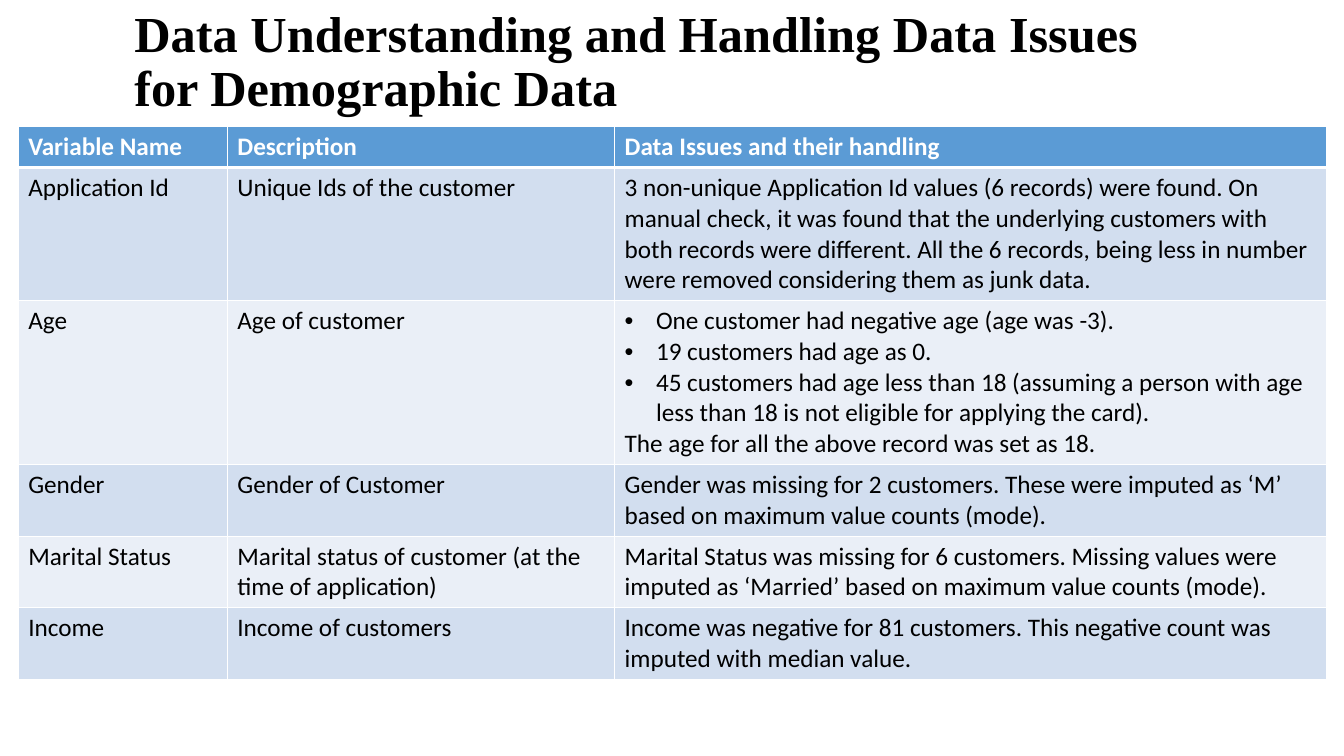
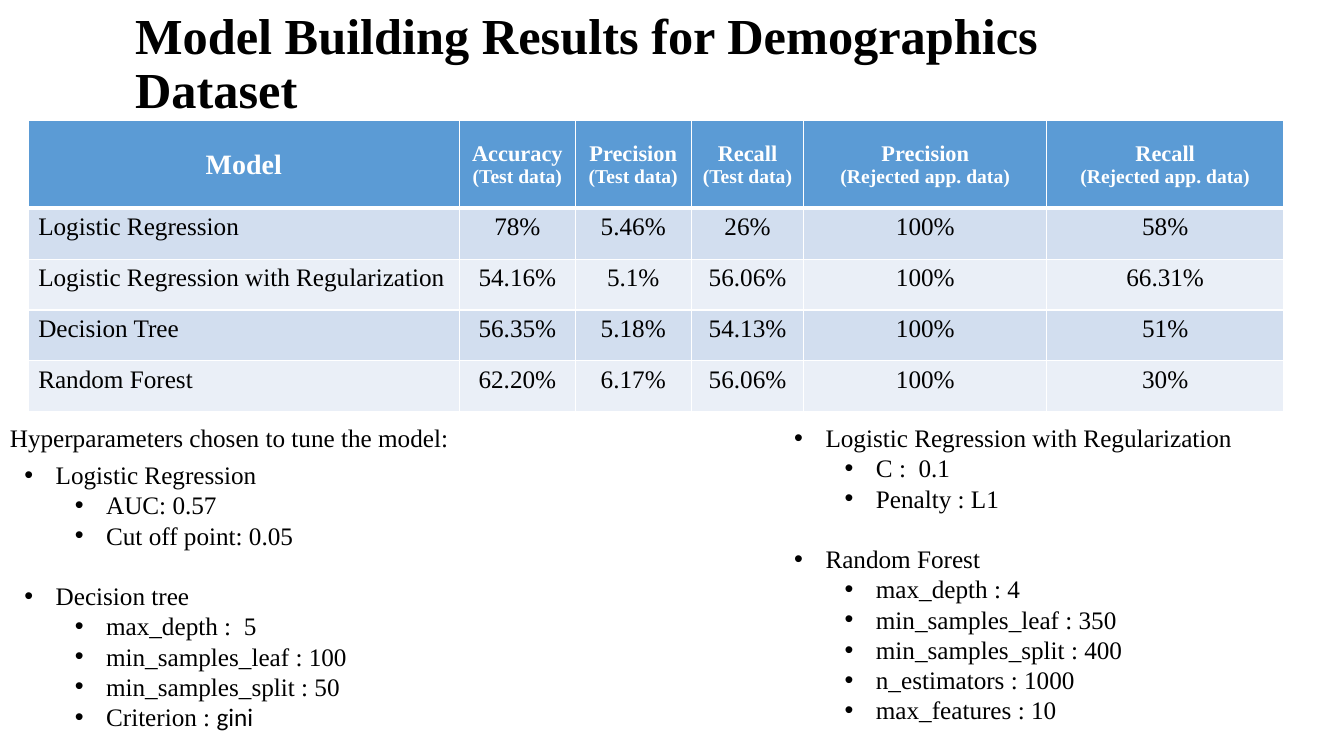
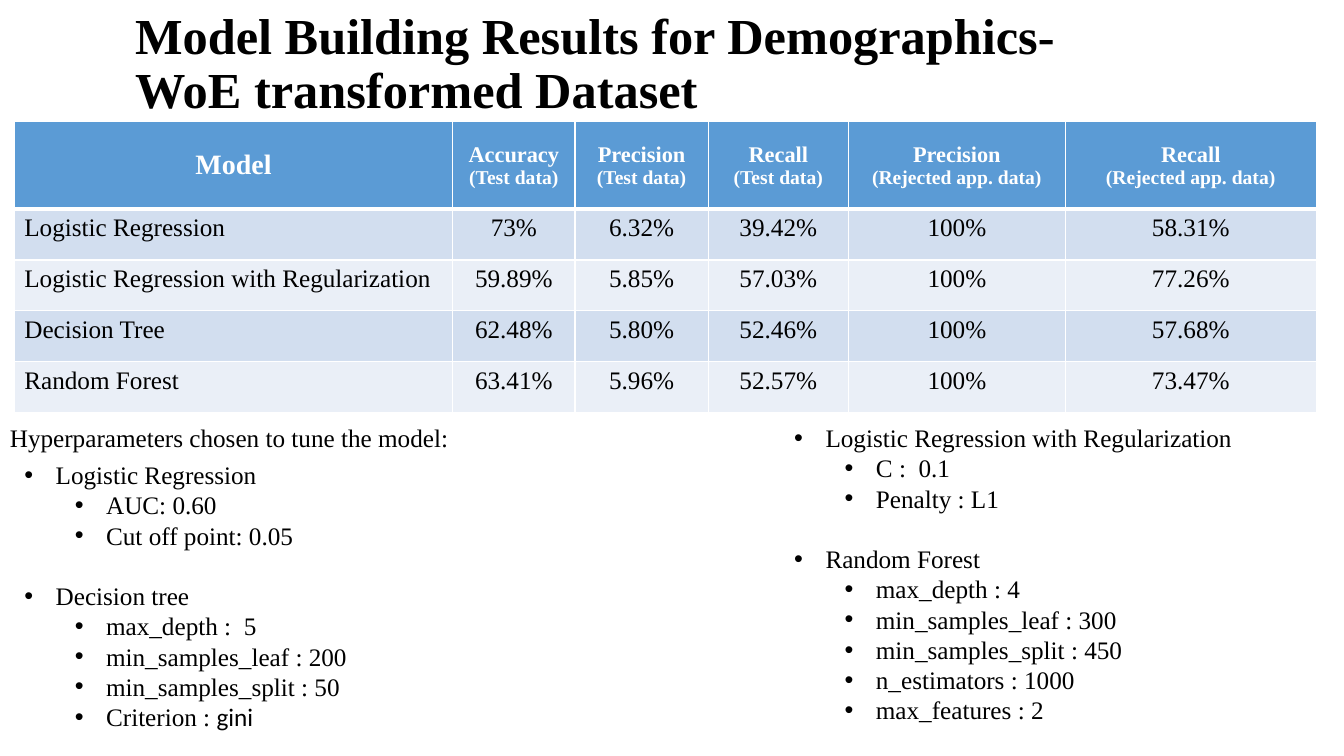
"""Build three slides on demographic data issues and model results."""
from lxml.etree import SubElement as Sub
from pptx import Presentation
from pptx.dml.color import RGBColor as Rgb
from pptx.enum.text import MSO_ANCHOR as Anchor, MSO_AUTO_SIZE as Fit, PP_ALIGN as Align
from pptx.oxml.ns import qn
from pptx.util import Cm, Pt

BLACK, WHITE = Rgb(0, 0, 0), Rgb(255, 255, 255)
BLUE = Rgb(0x5B, 0x9B, 0xD5)
BANDS = Rgb(0xD2, 0xDE, 0xEF), Rgb(0xEA, 0xEF, 0xF7)
SERIF, SANS = "Times New Roman", "Calibri"
LINE = 21.6

ISSUES = {
    "title": "Data Understanding and Handling Data Issues for Demographic Data",
    "at": (0.46, 3.19), "cols": (5.27, 9.76, 17.93),
    "heights": (0.66, 2.62, 3.58, 1.63, 1.27, 1.27),
    "rows": [
        ("Variable Name", "Description", "Data Issues and their handling"),
        ("Application Id", "Unique Ids of the customer",
         "3 non-unique Application Id values (6 records) were found. On manual check, "
         "it was found that the underlying customers with both records were different. "
         "All the 6 records, being less in number were removed considering them as junk data."),
        ("Age", "Age of customer",
         "• One customer had negative age (age was -3).\n"
         "• 19 customers had age as 0.\n"
         "• 45 customers had age less than 18 (assuming a person with age less than 18 "
         "is not eligible for applying the card).\n"
         "The age for all the above record was set as 18."),
        ("Gender", "Gender of Customer",
         "Gender was missing for 2 customers. These were imputed as ‘M’ "
         "based on maximum value counts (mode)."),
        ("Marital Status", "Marital status of customer (at the time of application)",
         "Marital Status was missing for 6 customers. Missing values were imputed as "
         "‘Married’ based on maximum value counts (mode)."),
        ("Income", "Income of customers",
         "Income was negative for 81 customers. This negative count was imputed "
         "with median value."),
    ],
}
HEAD = ("Model", "Accuracy\n(Test data)", "Precision\n(Test data)", "Recall\n(Test data)",
        "Precision\n(Rejected app. data)", "Recall\n(Rejected app. data)")
NAMES = ("Logistic Regression", "Logistic Regression with Regularization",
         "Decision Tree", "Random Forest")
HEIGHTS = (2.21, 1.28, 1.28, 1.28, 1.28)
CAPTION = "Hyperparameters chosen to tune the model:"
RESULTS = [
    {"title": "Model Building Results for Demographics Dataset",
     "at": (0.71, 3.04), "cols": (10.87, 2.92, 2.92, 2.84, 6.12, 5.97),
     "scores": [("78%", "5.46%", "26%", "100%", "58%"),
                ("54.16%", "5.1%", "56.06%", "100%", "66.31%"),
                ("56.35%", "5.18%", "54.13%", "100%", "51%"),
                ("62.20%", "6.17%", "56.06%", "100%", "30%")],
     "auc": "0.57", "tree": 100, "forest": (350, 400, 10)},
    {"title": "Model Building Results for Demographics-WoE transformed Dataset",
     "at": (0.36, 3.06), "cols": (11.05, 3.08, 3.36, 3.53, 5.47, 6.32),
     "scores": [("73%", "6.32%", "39.42%", "100%", "58.31%"),
                ("59.89%", "5.85%", "57.03%", "100%", "77.26%"),
                ("62.48%", "5.80%", "52.46%", "100%", "57.68%"),
                ("63.41%", "5.96%", "52.57%", "100%", "73.47%")],
     "auc": "0.60", "tree": 200, "forest": (300, 450, 2)},
]
BODIES = (0.36, 11.45, 13.13, 7.19), (19.76, 10.52, 13.39, 7.95)


def tune(data):
    """Return the left and right lists of settings, grouped by model."""
    leaf, split, most = data["forest"]
    left = [("Logistic Regression", [f"AUC: {data['auc']}", "Cut off point: 0.05"]),
            ("Decision tree", ["max_depth :  5", f"min_samples_leaf : {data['tree']}",
                               "min_samples_split : 50", ("Criterion : ", "gini")])]
    right = [("Logistic Regression with Regularization", ["C :  0.1", "Penalty : L1"]),
             ("Random Forest", ["max_depth : 4", f"min_samples_leaf : {leaf}",
                                f"min_samples_split : {split}", "n_estimators : 1000",
                                f"max_features : {most}"])]
    return left, right


def write(para, text, font=SERIF, size=18, color=BLACK, bold=False, align=Align.LEFT):
    """Add one formatted run to a paragraph."""
    run = para.add_run()
    run.text = text
    face = run.font
    face.name, face.size, face.bold = font, Pt(size), bold
    face.color.rgb = color
    para.alignment = align


def bullet(para, left=0.79):
    """Give a paragraph a round bullet with a hanging indent."""
    props = para._p.get_or_add_pPr()
    props.set("marL", str(Cm(left)))
    props.set("indent", str(Cm(-0.79)))
    Sub(props, qn("a:buFont"), typeface="Arial")
    Sub(props, qn("a:buChar"), char="•")


def paras(frame):
    """Yield the first paragraph of a frame, then new ones."""
    yield frame.paragraphs[0]
    while True:
        yield frame.add_paragraph()


def edge(cell, fill, base):
    """Fill a cell and draw its white borders."""
    cell.fill.solid()
    cell.fill.fore_color.rgb = fill
    props = cell._tc.get_or_add_tcPr()
    for spot, (tag, width) in enumerate(zip(("lnL", "lnR", "lnT", "lnB"), (1, 1, 1, base))):
        line = props.makeelement(qn(f"a:{tag}"), w=str(Pt(width)))
        Sub(Sub(line, qn("a:solidFill")), qn("a:srgbClr"), val=str(WHITE))
        props.insert(spot, line)


def grid(slide, data, rows, heights, style):
    """Add a banded table; style gives each line its text format."""
    x, y = data["at"]
    cols = data["cols"]
    table = slide.shapes.add_table(len(rows), len(cols), Cm(x), Cm(y),
                                   Cm(sum(cols)), Cm(sum(heights))).table
    for col, width in zip(table.columns, cols):
        col.width = Cm(width)
    for r, (row, height) in enumerate(zip(rows, heights)):
        table.rows[r].height = Cm(height)
        for c, text in enumerate(row):
            cell = table.cell(r, c)
            edge(cell, BANDS[(r - 1) % 2] if r else BLUE, 1 if r else 3)
            if r == 0:
                cell.vertical_anchor = Anchor.MIDDLE
            for n, (line, para) in enumerate(zip(text.split("\n"), paras(cell.text_frame))):
                if line.startswith("• "):
                    bullet(para)
                write(para, line.removeprefix("• "), color=BLACK if r else WHITE,
                      bold=r == 0, **style(r, c, n))


def plain(r, c, n):
    return {"font": SANS}


def score(r, c, n):
    size = 18 if r else 20 if c == 0 else (16, 14)[n]
    return {"size": size, "align": Align.CENTER if c or not r else Align.LEFT}


def fill(body, groups):
    """Write grouped settings into a body placeholder."""
    frame = body.text_frame
    frame.auto_size = Fit.NONE
    lines = [(level, item) for name, items in groups
             for level, item in [(0, name)] + [(1, part) for part in items]]
    for n, ((level, item), para) in enumerate(zip(lines, paras(frame))):
        para.level = level
        para.space_before = Pt(LINE if n and not level else 0)
        bullet(para, 0.79 + 1.27 * level)
        for part, font in zip((item,) if isinstance(item, str) else item, (SERIF, SANS)):
            write(para, part, font=font)


def place(shape, box):
    shape.left, shape.top, shape.width, shape.height = map(Cm, box)


def start(deck, layout, title):
    """Add a slide with its title."""
    slide = deck.slides.add_slide(layout)
    frame = slide.shapes.title.text_frame
    frame.auto_size = Fit.NONE
    frame.vertical_anchor = Anchor.MIDDLE
    para = frame.paragraphs[0]
    para.line_spacing = 0.9
    write(para, title, size=36, bold=True)
    return slide


def main():
    deck = Presentation()
    deck.slide_width, deck.slide_height = Cm(33.87), Cm(19.05)
    single, double = deck.slide_layouts[5], deck.slide_layouts[3]
    for layout, x, y in ((single, 3.13, 0.4), (double, 3.15, 0.45)):
        place(layout.placeholders[0], (x, y, 25.88, 2.39))
    for body, box in zip(list(double.placeholders)[1:3], BODIES):
        place(body, box)

    slide = start(deck, single, ISSUES["title"])
    grid(slide, ISSUES, ISSUES["rows"], ISSUES["heights"], plain)

    for data in RESULTS:
        slide = start(deck, double, data["title"])
        rows = [HEAD] + [(name, *row) for name, row in zip(NAMES, data["scores"])]
        grid(slide, data, rows, HEIGHTS, score)
        for body, groups in zip(list(slide.placeholders)[1:], tune(data)):
            fill(body, groups)
        note = slide.shapes.add_textbox(Cm(0), Cm(10.52), Cm(18.21), Cm(1.02)).text_frame
        note.word_wrap = True
        write(note.paragraphs[0], CAPTION)

    deck.save("out.pptx")


if __name__ == "__main__":
    main()
